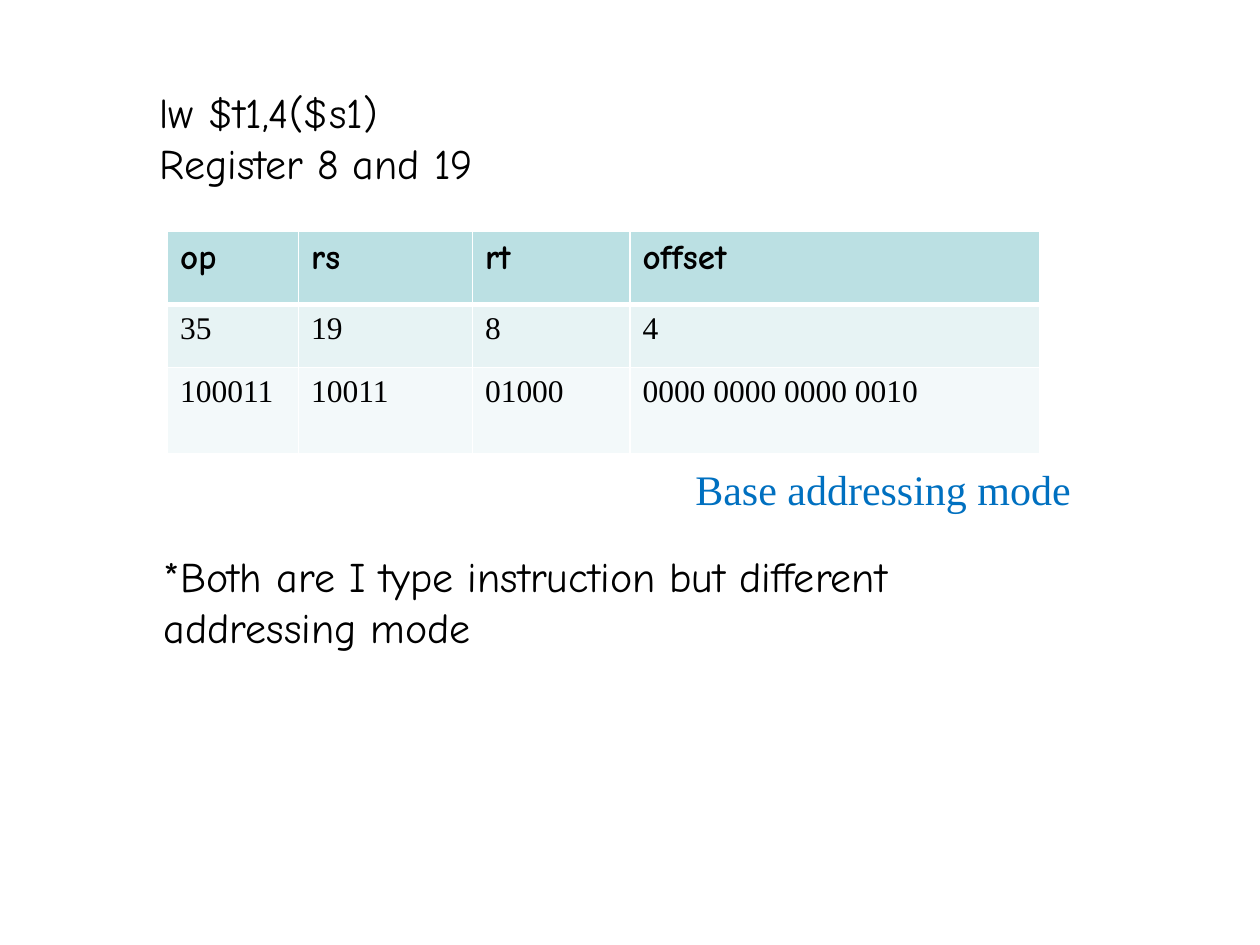
from lxml.etree import SubElement
from pptx import Presentation
from pptx.dml.color import RGBColor
from pptx.enum.text import MSO_ANCHOR as Anchor
from pptx.oxml.ns import qn
from pptx.util import Inches, Pt

WIDTH, HEIGHT = 10, 7.5
COLORS = {
    "text": "000000",
    "accent": "0070C0",
    "border": "FFFFFF",
    "header": "BBE0E3",
    "decimal": "E7F3F4",
    "binary": "F3F9FA",
}
HAND, SERIF = "Comic Neue", "Times New Roman"

# Boxes are left, top, width, height as shares of the slide's size.
INSTRUCTION_BOX = (0.117, 0.044, 0.633, 0.161)
TABLE_BOX = (0.133, 0.245, 0.692, 0.235)
NOTE_BOX = (0.12, 0.521, 0.617, 0.175)
MODE_BOX = (0.542, 0.483, 0.329, 0.067)

COLUMN_WEIGHTS = (1.04, 1.38, 1.25, 3.25)
ROW_WEIGHTS = (0.58, 0.5, 0.68)
FIELDS = (
    ("op", "rs", "rt", "offset"),
    ("35", "19", "8", "4"),
    ("100011", "10011", "01000", "0000 0000 0000 0010"),
)
ROW_STYLES = (
    ("header", HAND, 20, True),
    ("decimal", SERIF, 18, False),
    ("binary", SERIF, 18, False),
)


def to_lengths(box):
    left, top, width, height = box
    return (Inches(left * WIDTH), Inches(top * HEIGHT),
            Inches(width * WIDTH), Inches(height * HEIGHT))


def style_font(font, name, size, color="text", bold=False):
    font.name, font.size, font.bold = name, Pt(size), bold
    font.color.rgb = RGBColor.from_string(COLORS[color])


def add_text(slide, box, lines, font_name, color="text", wrap=True):
    """Place 24-point lines at the bottom of the box."""
    frame = slide.shapes.add_textbox(*to_lengths(box)).text_frame
    frame.word_wrap = wrap
    frame.vertical_anchor = Anchor.BOTTOM
    frame.text = "\n".join(lines)
    for paragraph in frame.paragraphs:
        style_font(paragraph.font, font_name, 24, color)


def add_borders(cell, bottom_width):
    properties = cell._tc.get_or_add_tcPr()
    for side, width in (("L", 1), ("R", 1), ("T", 1), ("B", bottom_width)):
        line = SubElement(properties, qn(f"a:ln{side}"), w=str(Pt(width)))
        fill = SubElement(line, qn("a:solidFill"))
        SubElement(fill, qn("a:srgbClr"), val=COLORS["border"])


def add_format_table(slide, box):
    left, top, width, height = to_lengths(box)
    table = slide.shapes.add_table(
        len(ROW_WEIGHTS), len(COLUMN_WEIGHTS), left, top, width, height).table
    for column, weight in zip(table.columns, COLUMN_WEIGHTS):
        column.width = int(width * weight / sum(COLUMN_WEIGHTS))
    for row, weight, values, style in zip(
            table.rows, ROW_WEIGHTS, FIELDS, ROW_STYLES):
        row.height = int(height * weight / sum(ROW_WEIGHTS))
        color, font_name, size, bold = style
        for cell, value in zip(row.cells, values):
            cell.text = value
            style_font(cell.text_frame.paragraphs[0].font,
                       font_name, size, bold=bold)
            add_borders(cell, 3 if color == "header" else 1)
            cell.fill.solid()
            cell.fill.fore_color.rgb = RGBColor.from_string(COLORS[color])
    for cell in table.rows[1].cells:
        # The edge shared with the header takes the header's heavy rule.
        cell._tc.tcPr.find(qn("a:lnT")).set("w", str(Pt(3)))


def main():
    presentation = Presentation()
    presentation.slide_width = Inches(WIDTH)
    presentation.slide_height = Inches(HEIGHT)
    slide = presentation.slides.add_slide(presentation.slide_layouts[6])
    add_text(slide, INSTRUCTION_BOX,
             ["lw $t1,4($s1)", "Register 8 and 19"], HAND)
    add_format_table(slide, TABLE_BOX)
    add_text(slide, NOTE_BOX,
             ["*Both are I type instruction but different addressing mode"],
             HAND)
    add_text(slide, MODE_BOX, ["Base addressing mode"], SERIF,
             color="accent", wrap=False)
    presentation.save("out.pptx")


if __name__ == "__main__":
    main()
